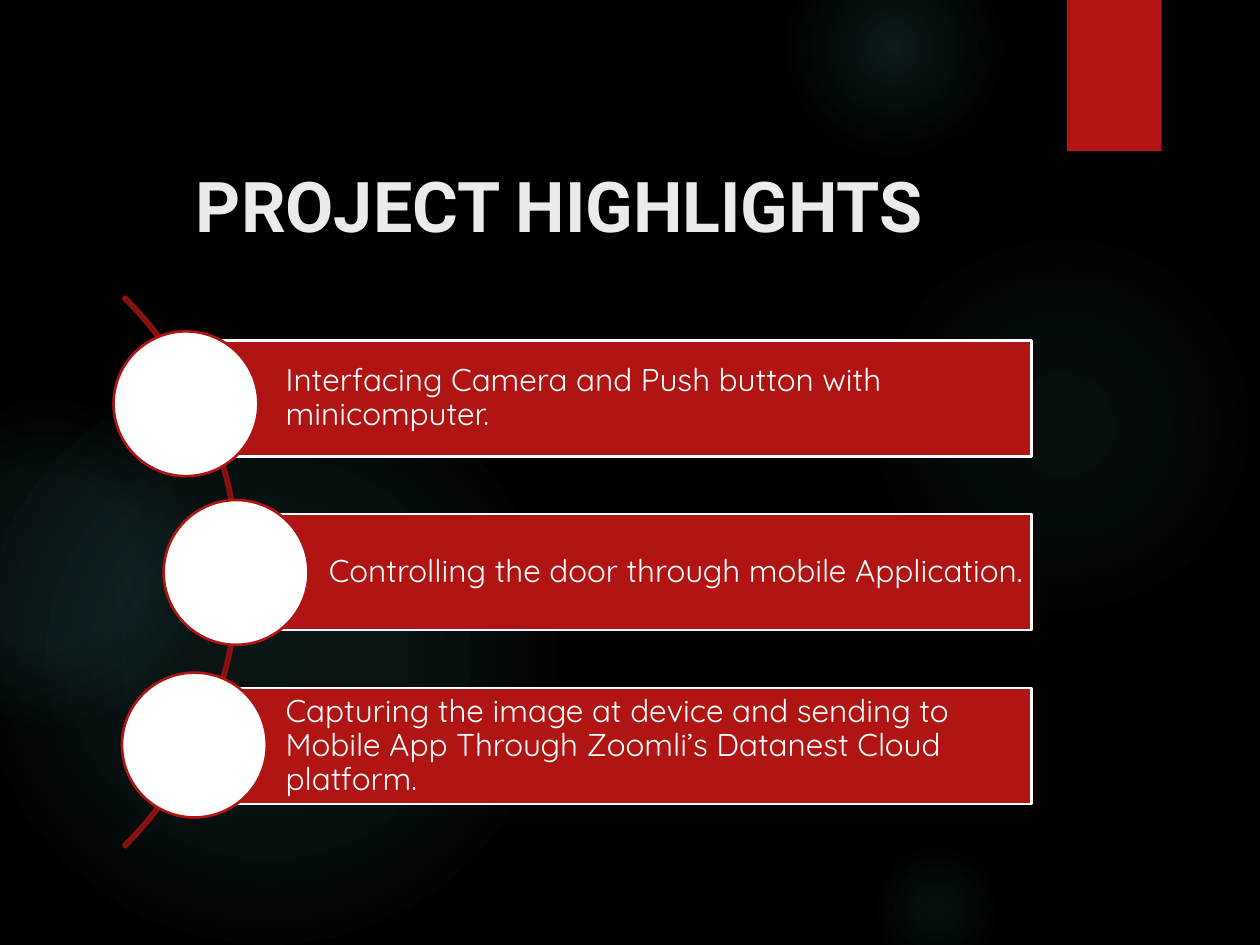
from dataclasses import dataclass

from lxml.etree import SubElement
from pptx import Presentation
from pptx.dml.color import RGBColor
from pptx.enum.shapes import MSO_SHAPE
from pptx.enum.text import MSO_ANCHOR, MSO_AUTO_SIZE, PP_ALIGN
from pptx.oxml.ns import qn
from pptx.util import Cm, Pt


@dataclass(frozen=True)
class Theme:
    background: str = "000000"
    accent: str = "B01513"
    arc: str = "8D110F"
    glow: str = "50B9C1"
    title: str = "EBEBEB"
    light: str = "FFFFFF"
    title_font: str = "Roboto"
    body_font: str = "Quicksand"
    title_size: int = 40
    body_size: int = 18
    line_width: float = 1.5


THEME = Theme()

# left, top, diameter in cm, then (position %, opacity %) stops
GLOWS = [
    (17.5, 4.65, 7.82, [(0, 7), (36, 6), (69, 0)]),
    (15.8, -1.27, 4.45, [(0, 14), (36, 7), (73, 0)]),
    (17.5, 16.94, 2.74, [(0, 9), (36, 5), (66, 0)]),
    (-0.43, 7.42, 11.63, [(0, 11), (36, 10), (75, 0)]),
    (-2.34, 8.05, 6.55, [(0, 8), (36, 8), (72, 0)]),
]

# text, bar left, disc left, disc top; cm from the list's corner
HIGHLIGHTS = [
    ("Interfacing Camera and Push button with minicomputer.", 1.62, 0, 0),
    ("Controlling the door through mobile Application.", 2.49, 1.01, 3.4),
    ("Capturing the image at device and sending to Mobile App Through "
     "Zoomli’s Datanest Cloud platform.", 1.62, 0.17, 6.88),
]


def color(value):
    return RGBColor.from_string(value)


def add_shape(page, kind, box, fill=None, line=None):
    shape = page.shapes.add_shape(kind, *(Cm(length) for length in box))
    shape.shadow.inherit = False
    if fill:
        shape.fill.solid()
        shape.fill.fore_color.rgb = color(fill)
    else:
        shape.fill.background()
    if line:
        shape.line.color.rgb = color(line)
        shape.line.width = Pt(THEME.line_width)
    else:
        shape.line.fill.background()
    return shape


def add_span(para, text, font, size, ink, bold=False):
    span = para.add_run()
    span.text = text
    span.font.name = font
    span.font.size = Pt(size)
    span.font.bold = bold
    span.font.color.rgb = color(ink)


def set_insets(frame, left, top, right, bottom):
    frame.margin_left, frame.margin_top = Cm(left), Cm(top)
    frame.margin_right, frame.margin_bottom = Cm(right), Cm(bottom)


def add_glow(page, left, top, diameter, stops):
    """Add a disc whose tint fades out from its centre."""
    glow = add_shape(page, MSO_SHAPE.OVAL, (left, top, diameter, diameter))
    glow.fill.gradient()
    gradient = glow.element.spPr.find(qn("a:gradFill"))
    for child in list(gradient):
        gradient.remove(child)
    stop_list = SubElement(gradient, qn("a:gsLst"))
    for position, opacity in stops:
        stop = SubElement(stop_list, qn("a:gs"), {"pos": str(position * 1000)})
        tint = SubElement(stop, qn("a:srgbClr"), {"val": THEME.glow})
        SubElement(tint, qn("a:alpha"), {"val": str(opacity * 1000)})
    shade = SubElement(gradient, qn("a:path"), {"path": "circle"})
    SubElement(shade, qn("a:fillToRect"),
               {side: "50000" for side in ("l", "t", "r", "b")})


def add_backdrop(page):
    page.background.fill.solid()
    page.background.fill.fore_color.rgb = color(THEME.background)
    for glow in GLOWS:
        add_glow(page, *glow)
    add_shape(page, MSO_SHAPE.RECTANGLE, (21.51, 0, 1.91, 3.05), THEME.accent)


def add_title(page, box, text):
    title = page.shapes.title
    title.left, title.top, title.width, title.height = map(Cm, box)
    frame = title.text_frame
    frame.auto_size = MSO_AUTO_SIZE.NONE
    frame.word_wrap = True
    frame.vertical_anchor = MSO_ANCHOR.TOP
    set_insets(frame, 2.6, 0.3, 0.25, 0.13)
    para = frame.paragraphs[0]
    para.alignment = PP_ALIGN.LEFT
    add_span(para, text, THEME.title_font, THEME.title_size, THEME.title, True)


def add_bar(page, box, text):
    bar = add_shape(page, MSO_SHAPE.RECTANGLE, box, THEME.accent, THEME.light)
    frame = bar.text_frame
    frame.word_wrap = True
    frame.vertical_anchor = MSO_ANCHOR.MIDDLE
    set_insets(frame, 1.85, 0.13, 0.13, 0.13)
    para = frame.paragraphs[0]
    para.alignment = PP_ALIGN.LEFT
    para.line_spacing = 0.9
    add_span(para, text, THEME.body_font, THEME.body_size, THEME.light)


def add_highlights(page, box):
    """Add bars with discs strung along a curve."""
    left, top, width, height = box
    disc, bar_height, arc_size = 2.92, 2.34, 15.7
    first_bar = 0.18
    pitch = (height - first_bar - bar_height) / (len(HIGHLIGHTS) - 1)

    arc = add_shape(page, MSO_SHAPE.BLOCK_ARC,
                    (left - 13.16, top - 3, arc_size, arc_size),
                    line=THEME.arc)
    for index, value in enumerate((189, 27, 0.004)):
        arc.adjustments[index] = value

    for row, (text, bar_left, disc_left, disc_top) in enumerate(HIGHLIGHTS):
        bar_top = top + first_bar + row * pitch
        add_bar(page, (left + bar_left, bar_top, width - bar_left, bar_height),
                text)
        add_shape(page, MSO_SHAPE.OVAL,
                  (left + disc_left, top + disc_top, disc, disc),
                  THEME.light, THEME.accent)


def main():
    deck = Presentation()
    deck.slide_width, deck.slide_height = Cm(25.4), Cm(19.05)
    page = deck.slides.add_slide(deck.slide_layouts[5])
    add_backdrop(page)
    add_title(page, (1.35, 2.97, 19.61, 3.89), "PROJECT HIGHLIGHTS")
    add_highlights(page, (2.29, 6.68, 18.5, 9.53))
    deck.save("out.pptx")


if __name__ == "__main__":
    main()
